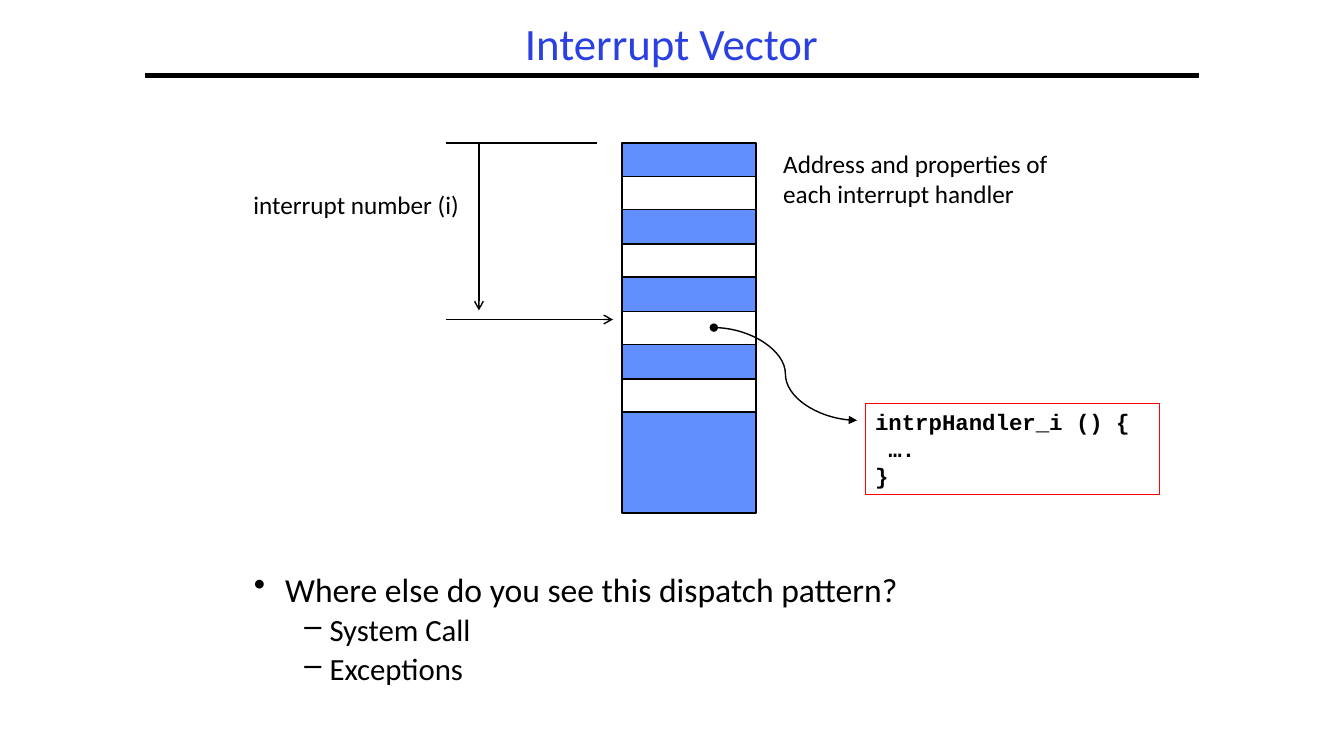
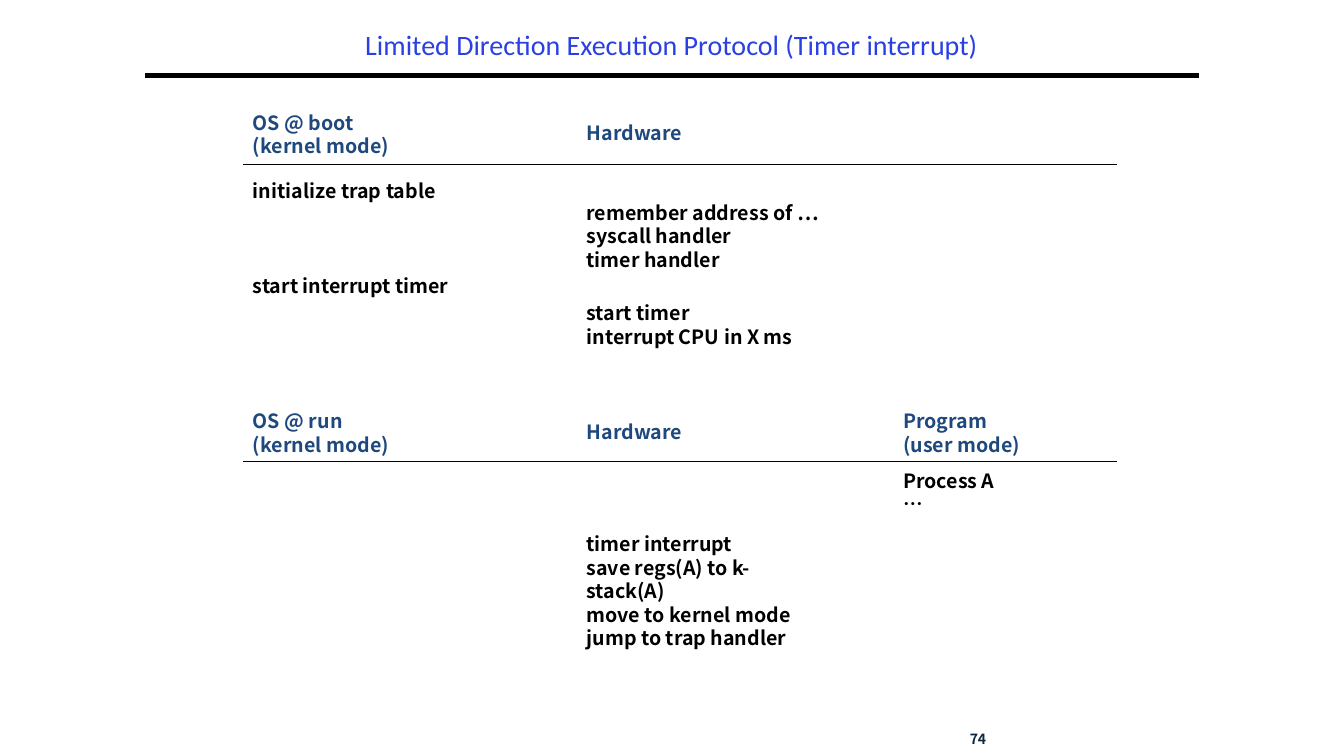
from dataclasses import dataclass
from typing import Optional, Sequence

from lxml.etree import SubElement
from pptx import Presentation
from pptx.dml.color import RGBColor
from pptx.enum.shapes import MSO_CONNECTOR as Connector, MSO_SHAPE as Shape
from pptx.enum.text import MSO_ANCHOR as Anchor, PP_ALIGN as Align
from pptx.oxml.ns import qn
from pptx.util import Pt

PX = 9144  # one hundredth of an inch


@dataclass(frozen=True)
class Theme:
    title: str = "2A40E2"
    ink: str = "000000"
    paper: str = "FFFFFF"
    vector: str = "618FFD"
    code_border: str = "FF0000"
    heading: str = "1F497D"
    page_number: str = "0F243E"
    body_font: str = "Calibri"
    code_font: str = "Courier New"
    protocol_font: str = "Noto Sans CJK KR"
    title_size: int = 32
    long_title_size: int = 20
    bullet_size: int = 24
    sub_bullet_size: int = 22
    label_size: int = 18
    code_size: int = 16
    protocol_size: int = 14
    page_number_size: int = 10
    protocol_pitch: float = 16.8


THEME = Theme()


@dataclass(frozen=True)
class Box:
    left: int
    top: int
    width: int
    height: int

    def emu(self) -> tuple[int, ...]:
        return tuple(value * PX for value in (self.left, self.top, self.width, self.height))


@dataclass(frozen=True)
class Line:
    start: tuple[int, int]
    end: tuple[int, int]
    head: Optional[str] = None
    tail: Optional[str] = None
    width: float = 1
    kind: Connector = Connector.STRAIGHT


@dataclass(frozen=True)
class Bullet:
    text: str
    mark: str
    size: int
    margin: int
    hanging: int


@dataclass(frozen=True)
class Step:
    box: Box
    lines: tuple[str, ...]
    heading: bool = False


def color(value: str) -> RGBColor:
    return RGBColor.from_string(value)


def write_text(shape, lines: Sequence[str], *, size: float, font: str = THEME.body_font,
               ink: str = THEME.ink, bold: bool = False, align: Align = Align.LEFT,
               anchor: Anchor = Anchor.TOP, spacing=None) -> list:
    """Fill the shape with one paragraph per line and return the paragraphs."""
    frame = shape.text_frame
    frame.word_wrap = True
    frame.vertical_anchor = anchor
    for index, line in enumerate(lines):
        paragraph = frame.add_paragraph() if index else frame.paragraphs[0]
        paragraph.alignment = align
        paragraph.line_spacing = spacing
        run = paragraph.add_run()
        run.text = line
        run.font.name = font
        run.font.size = Pt(size)
        run.font.bold = bold
        run.font.color.rgb = color(ink)
    return list(frame.paragraphs)


def add_text(slide, box: Box, lines: Sequence[str], **text_format) -> list:
    return write_text(slide.shapes.add_textbox(*box.emu()), lines, **text_format)


def add_rectangle(slide, box: Box, fill: Optional[str] = None,
                  border: str = THEME.ink, border_width: float = 1):
    rectangle = slide.shapes.add_shape(Shape.RECTANGLE, *box.emu())
    rectangle.shadow.inherit = False
    if fill:
        rectangle.fill.solid()
        rectangle.fill.fore_color.rgb = color(fill)
    else:
        rectangle.fill.background()
    rectangle.line.color.rgb = color(border)
    rectangle.line.width = Pt(border_width)
    return rectangle


def add_line(slide, line: Line) -> None:
    points = [value * PX for value in line.start + line.end]
    connector = slide.shapes.add_connector(line.kind, *points)
    connector.line.color.rgb = color(THEME.ink)
    connector.line.width = Pt(line.width)
    properties = connector._element.spPr
    for tag, arrow in (("a:headEnd", line.head), ("a:tailEnd", line.tail)):
        if arrow:
            SubElement(properties.find(qn("a:ln")), qn(tag), type=arrow)
    SubElement(properties, qn("a:effectLst"))


def add_bullets(slide, box: Box, bullets: Sequence[Bullet]) -> None:
    paragraphs = add_text(slide, box, [bullet.text for bullet in bullets],
                          size=THEME.bullet_size, spacing=0.8)
    for paragraph, bullet in zip(paragraphs, bullets):
        paragraph.space_before = Pt(0.3 * bullet.size)
        paragraph.runs[0].font.size = Pt(bullet.size)
        properties = paragraph._p.get_or_add_pPr()
        properties.set("marL", str(bullet.margin * PX))
        properties.set("indent", str(-bullet.hanging * PX))
        SubElement(properties, qn("a:buChar"), char=bullet.mark)


def add_titled_slide(presentation, title: str, size: int):
    slide = presentation.slides.add_slide(presentation.slide_layouts[6])
    add_line(slide, Line((144, 75), (1189, 75), width=3))
    add_text(slide, Box(144, 17, 1044, 58), [title], size=size, ink=THEME.title,
             align=Align.CENTER, anchor=Anchor.MIDDLE, spacing=0.9)
    return slide


def build_interrupt_vector(presentation) -> None:
    slide = add_titled_slide(presentation, "Interrupt Vector", THEME.title_size)
    add_bullets(slide, Box(242, 567, 833, 125), (
        Bullet("Where else do you see this dispatch pattern?", "•", THEME.bullet_size, 31, 31),
        Bullet("System Call", "–", THEME.sub_bullet_size, 75, 25),
        Bullet("Exceptions", "–", THEME.sub_bullet_size, 75, 25),
    ))

    vector = Box(617, 142, 133, 367)
    add_rectangle(slide, vector, THEME.vector)
    entry_height = vector.height / 11
    for entry in range(1, 8, 2):
        top = round(vector.top + entry * entry_height)
        add_rectangle(slide, Box(vector.left, top, vector.width, round(entry_height)), THEME.paper)

    for line in (
        Line((592, vector.top), (442, vector.top)),
        Line((475, vector.top), (475, 308), tail="arrow"),
        Line((442, 317), (608, 317), tail="arrow"),
        Line((708, 325), (850, 417), head="oval", tail="triangle", kind=Connector.CURVE),
    ):
        add_line(slide, line)

    add_text(slide, Box(183, 183, 282, 40), ["interrupt number (i)"],
             size=THEME.label_size, align=Align.RIGHT)
    add_text(slide, Box(767, 142, 300, 71),
             ["Address and properties of each interrupt handler"], size=THEME.label_size)
    handler = add_rectangle(slide, Box(858, 400, 292, 91),
                            border=THEME.code_border, border_width=0.75)
    write_text(handler, ["intrpHandler_i () {", " ….", "}"],
               size=THEME.code_size, font=THEME.code_font, bold=True)


def build_timer_protocol(presentation) -> None:
    slide = add_titled_slide(presentation, "Limited Direction Execution Protocol (Timer interrupt)",
                             THEME.long_title_size)
    system, hardware, program = 241, 572, 886
    for top in (163, 458):
        add_line(slide, Line((system, top), (1108, top)))

    for step in (
        Step(Box(system, 105, 189, 57), ("OS @ boot", "(kernel mode)"), heading=True),
        Step(Box(hardware, 115, 165, 34), ("Hardware",), heading=True),
        Step(Box(system, 173, 253, 34), ("initialize trap table",)),
        Step(Box(hardware, 194, 253, 81),
             ("remember address of …", "syscall handler", "timer handler")),
        Step(Box(system, 267, 253, 34), ("start interrupt timer",)),
        Step(Box(hardware, 294, 253, 57), ("start timer", "interrupt CPU in X ms")),
        Step(Box(system, 401, 189, 57), ("OS @ run", "(kernel mode)"), heading=True),
        Step(Box(hardware, 412, 165, 34), ("Hardware",), heading=True),
        Step(Box(program, 401, 165, 57), ("Program", "(user mode)"), heading=True),
        Step(Box(program, 460, 253, 57), ("Process A", "…")),
        Step(Box(hardware, 523, 253, 128),
             ("timer interrupt", "save regs(A) to k-stack(A)",
              "move to kernel mode", "jump to trap handler")),
    ):
        add_text(slide, step.box, step.lines, size=THEME.protocol_size,
                 font=THEME.protocol_font, bold=True, spacing=Pt(THEME.protocol_pitch),
                 ink=THEME.heading if step.heading else THEME.ink)

    add_text(slide, Box(871, 721, 117, 24), ["74"], size=THEME.page_number_size,
             font=THEME.protocol_font, ink=THEME.page_number, bold=True,
             align=Align.RIGHT, anchor=Anchor.MIDDLE)


def main() -> None:
    presentation = Presentation()
    presentation.slide_width = 1333 * PX
    presentation.slide_height = 750 * PX
    build_interrupt_vector(presentation)
    build_timer_protocol(presentation)
    presentation.save("out.pptx")


if __name__ == "__main__":
    main()
